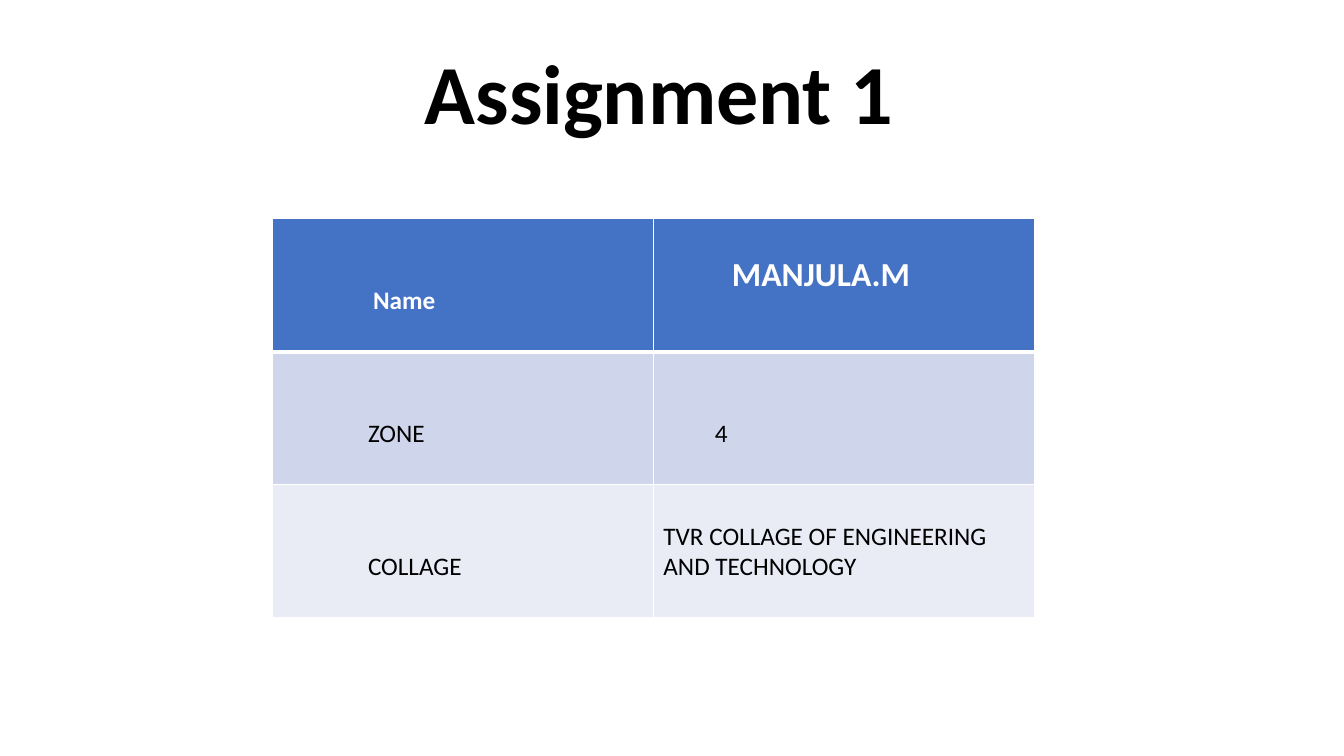
from dataclasses import dataclass

from lxml.etree import SubElement
from pptx import Presentation
from pptx.dml.color import RGBColor
from pptx.enum.text import MSO_ANCHOR, PP_ALIGN
from pptx.oxml.ns import qn
from pptx.slide import Slide
from pptx.table import _Cell
from pptx.text.text import _Paragraph
from pptx.util import Inches, Pt


@dataclass(frozen=True)
class Theme:
    font: str = "Calibri"
    title_size: int = 60
    name_size: int = 24
    body_size: int = 18
    dark: str = "000000"
    light: str = "FFFFFF"
    row_fills: tuple[str, ...] = ("4472C4", "CFD5EA", "E9EBF5")
    thin_border: float = 1
    header_border: float = 3


@dataclass(frozen=True)
class CellText:
    text: str
    left: float
    top: float
    size: int


THEME = Theme()
SECOND_LINE, THIRD_LINE = 0.36, 0.66
COLUMN_WIDTH, ROW_HEIGHT = 3.78, 1.32

ROWS = (
    (CellText("Name", 1, THIRD_LINE, THEME.body_size),
     CellText("MANJULA.M", 0.78, SECOND_LINE, THEME.name_size)),
    (CellText("ZONE", 0.95, THIRD_LINE, THEME.body_size),
     CellText("4", 0.61, THIRD_LINE, THEME.body_size)),
    (CellText("COLLAGE", 0.95, THIRD_LINE, THEME.body_size),
     CellText("TVR COLLAGE OF ENGINEERING AND TECHNOLOGY", 0.1, SECOND_LINE, THEME.body_size)),
)


def format_runs(paragraph: _Paragraph, size: int, color: str, bold: bool) -> None:
    for run in paragraph.runs:
        run.font.name = THEME.font
        run.font.size = Pt(size)
        run.font.bold = bold
        run.font.color.rgb = RGBColor.from_string(color)


def add_title(slide: Slide, text: str) -> None:
    title = slide.shapes.add_textbox(Inches(1.07), Inches(0.18), Inches(10.94), Inches(1.28))
    title.text_frame.word_wrap = True
    title.text_frame.vertical_anchor = MSO_ANCHOR.BOTTOM
    title.text_frame.text = text
    paragraph = title.text_frame.paragraphs[0]
    paragraph.alignment = PP_ALIGN.CENTER
    paragraph.line_spacing = 0.9
    format_runs(paragraph, THEME.title_size, THEME.dark, True)


def set_borders(cell: _Cell, top: float, bottom: float) -> None:
    """Draw the cell's borders; must run before the fill, which follows them in the XML."""
    properties = cell._tc.get_or_add_tcPr()
    widths = {"lnL": THEME.thin_border, "lnR": THEME.thin_border, "lnT": top, "lnB": bottom}
    for side, width in widths.items():
        line = SubElement(properties, qn(f"a:{side}"), w=str(Pt(width)))
        fill = SubElement(line, qn("a:solidFill"))
        SubElement(fill, qn("a:srgbClr"), val=THEME.light)


def fill_cell(cell: _Cell, content: CellText, row: int) -> None:
    is_header = row == 0
    set_borders(
        cell,
        top=THEME.header_border if row == 1 else THEME.thin_border,
        bottom=THEME.header_border if is_header else THEME.thin_border,
    )
    cell.fill.solid()
    cell.fill.fore_color.rgb = RGBColor.from_string(THEME.row_fills[row])
    cell.margin_left = Inches(content.left)
    cell.margin_top = Inches(content.top)
    cell.text_frame.text = content.text
    color = THEME.light if is_header else THEME.dark
    format_runs(cell.text_frame.paragraphs[0], content.size, color, is_header)


def add_details_table(slide: Slide) -> None:
    row_count, column_count = len(ROWS), len(ROWS[0])
    table = slide.shapes.add_table(
        row_count, column_count, Inches(2.7), Inches(2.17),
        Inches(COLUMN_WIDTH * column_count), Inches(ROW_HEIGHT * row_count),
    ).table
    for row, contents in enumerate(ROWS):
        for column, content in enumerate(contents):
            fill_cell(table.cell(row, column), content, row)


def main() -> None:
    presentation = Presentation()
    presentation.slide_width = Inches(13.33)
    presentation.slide_height = Inches(7.5)
    slide = presentation.slides.add_slide(presentation.slide_layouts[6])
    add_details_table(slide)
    add_title(slide, "Assignment 1")
    presentation.save("out.pptx")


if __name__ == "__main__":
    main()
